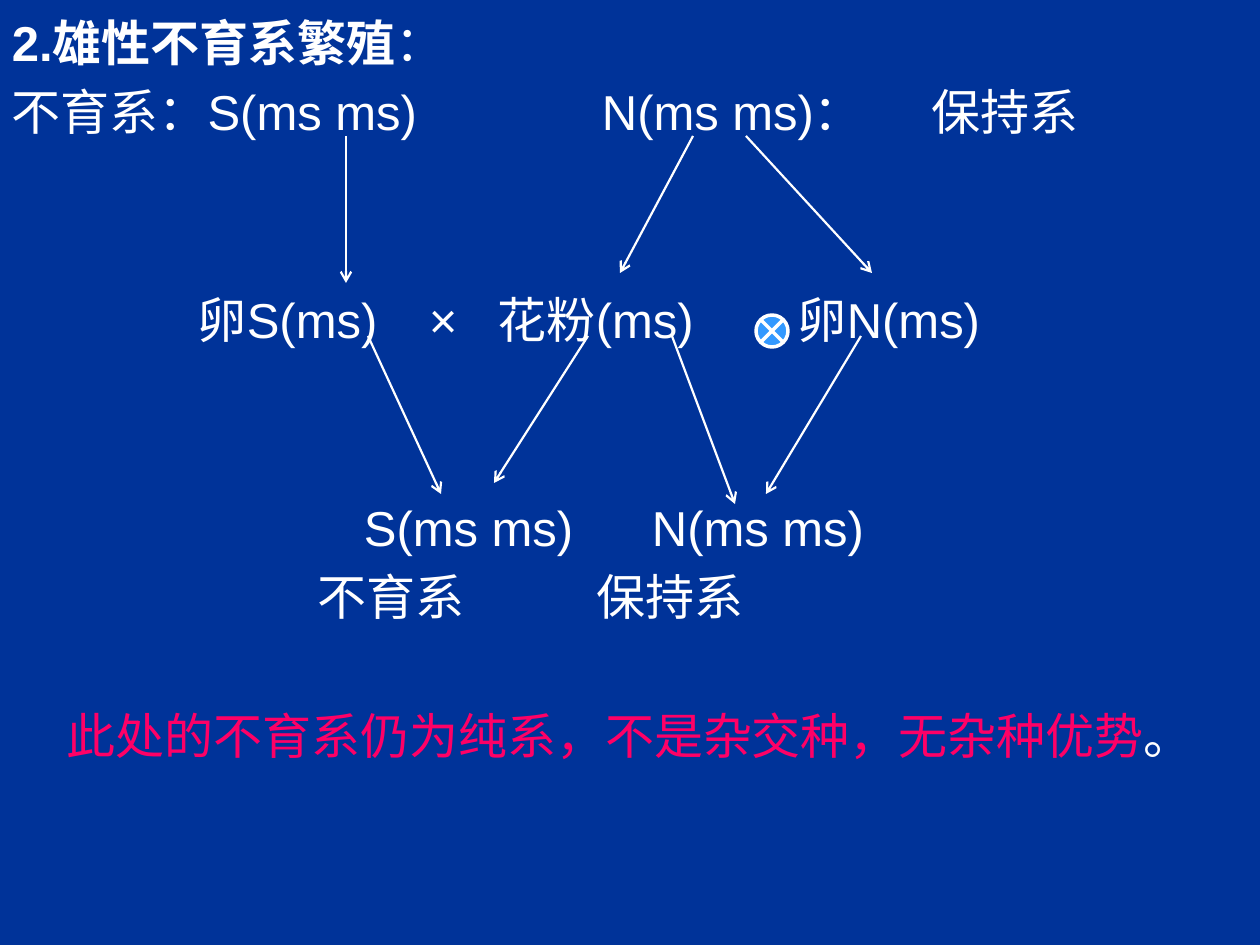
from dataclasses import dataclass

from lxml import etree
from pptx import Presentation
from pptx.dml.color import RGBColor
from pptx.enum.shapes import MSO_CONNECTOR, MSO_SHAPE
from pptx.oxml.ns import qn
from pptx.util import Emu, Pt

STRAIGHT = MSO_CONNECTOR.STRAIGHT
CROSSED_CIRCLE = MSO_SHAPE.FLOWCHART_SUMMING_JUNCTION
PX = 914400 / 126


@dataclass(frozen=True)
class Theme:
    background = RGBColor(0x00, 0x33, 0x99)
    text = RGBColor(0xFF, 0xFF, 0xFF)
    accent = RGBColor(0xFF, 0x00, 0x66)
    symbol = RGBColor(0x33, 0x99, 0xFF)
    font = "Arial"
    size = Pt(28)
    arrow_width = Pt(1.25)
    symbol_width = Pt(2)


THEME = Theme()


def px(value):
    return Emu(round(value * PX))


def add_tabs(para, stops):
    tab_list = etree.SubElement(para._p.get_or_add_pPr(), qn("a:tabLst"))
    for stop in stops:
        etree.SubElement(tab_list, qn("a:tab"), pos=str(int(px(stop))), algn="l")


def add_span(para, text, color=THEME.text, bold=False):
    span = para.add_run()
    span.text = text
    span.font.name = THEME.font
    span.font.size = THEME.size
    span.font.bold = bold
    span.font.color.rgb = color


def add_cross_text(page, left, top, width, height):
    rows = [
        (0, [], [("2.雄性不育系繁殖", THEME.text, True), ("：",)]),
        (10, [602, 932], [("不育系：S(ms ms)\tN(ms ms)：\t保持系",)]),
        (149, [198, 429, 498, 798], [("\t卵S(ms)\t×\t花粉(ms)\t卵N(ms)",)]),
        (149, [364, 652], [("\tS(ms ms)\tN(ms ms)",)]),
        (10, [318, 597], [("\t不育系\t保持系",)]),
        (80, [67], [("\t",), ("此处的不育系仍为纯系，不是杂交种，无杂种优势", THEME.accent), ("。",)]),
    ]
    inset = 12
    box = page.shapes.add_textbox(px(left), px(top), px(width), px(height))
    frame = box.text_frame
    frame.word_wrap = True
    frame.margin_left = frame.margin_right = px(inset)
    frame.margin_top = px(inset)
    for index, (gap, stops, spans) in enumerate(rows):
        para = frame.add_paragraph() if index else frame.paragraphs[0]
        para.line_spacing = px(59)
        if gap:
            para.space_before = px(gap)
        if stops:
            add_tabs(para, [stop - inset for stop in stops])
        for span in spans:
            add_span(para, *span)


def add_arrow(page, start, end):
    arrow = page.shapes.add_connector(STRAIGHT, *map(px, start + end))
    arrow.line.color.rgb = THEME.text
    arrow.line.width = THEME.arrow_width
    etree.SubElement(arrow.line._get_or_add_ln(), qn("a:tailEnd"), type="arrow")
    etree.SubElement(arrow._element.spPr, qn("a:effectLst"))


def add_descent_arrows(page, left, top):
    arrows = [
        ((346, 136), (346, 283)),
        ((693, 136), (620, 273)),
        ((746, 136), (872, 273)),
        ((368, 336), (441, 494)),
        ((588, 336), (494, 483)),
        ((672, 336), (735, 504)),
        ((861, 336), (766, 494)),
    ]
    for start, end in arrows:
        add_arrow(page, *((left + x, top + y) for x, y in (start, end)))


def add_selfing_symbol(page, left, top, size):
    symbol = page.shapes.add_shape(CROSSED_CIRCLE, px(left), px(top), px(size), px(size))
    symbol.shadow.inherit = False
    symbol.fill.solid()
    symbol.fill.fore_color.rgb = THEME.symbol
    symbol.line.color.rgb = THEME.text
    symbol.line.width = THEME.symbol_width


def main():
    deck = Presentation()
    deck.slide_width, deck.slide_height = px(1260), px(945)
    page = deck.slides.add_slide(deck.slide_layouts[6])
    page.background.fill.solid()
    page.background.fill.fore_color.rgb = THEME.background
    add_cross_text(page, 0, 0, 1260, 945)
    add_descent_arrows(page, 0, 0)
    add_selfing_symbol(page, 756, 315, 32)
    deck.save("out.pptx")


if __name__ == "__main__":
    main()
